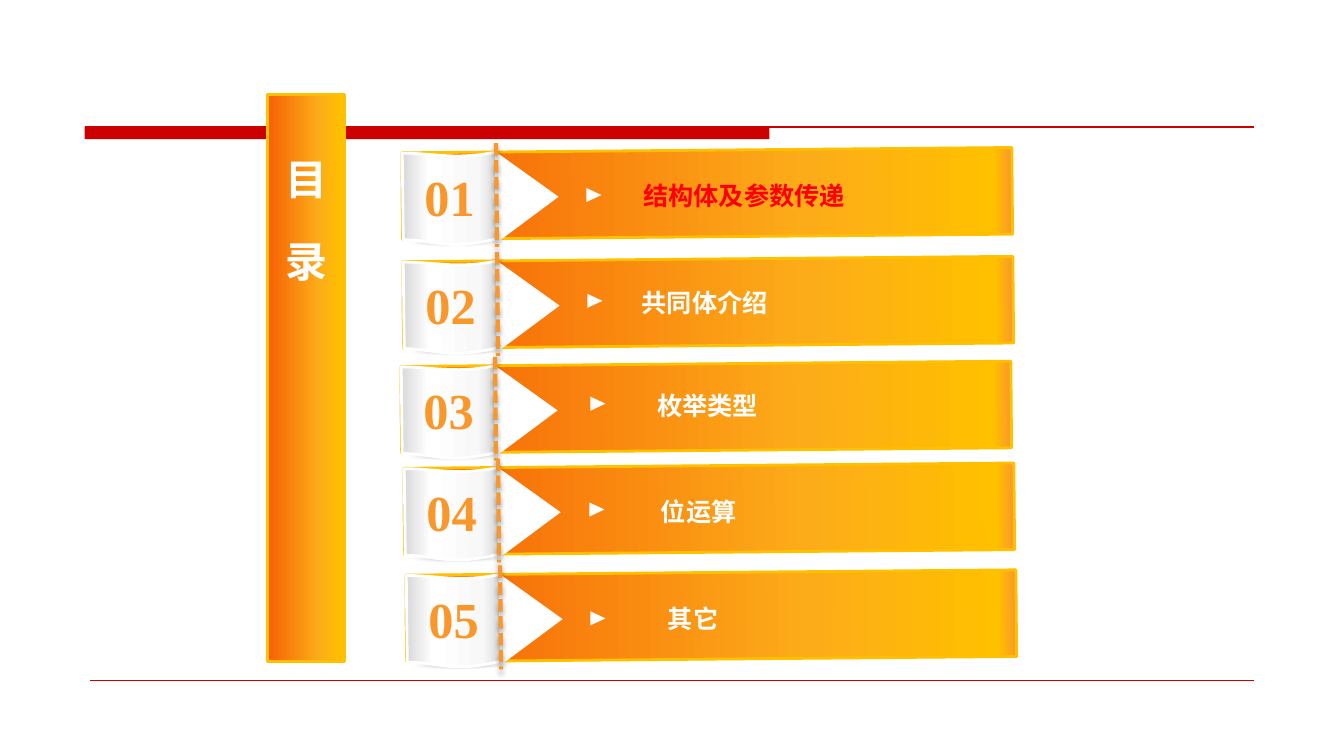
from pptx import Presentation
from pptx.dml.color import RGBColor
from pptx.enum.dml import MSO_LINE
from pptx.enum.shapes import MSO_CONNECTOR, MSO_SHAPE as SHP
from pptx.enum.text import MSO_ANCHOR, MSO_AUTO_SIZE, PP_ALIGN
from pptx.oxml import parse_xml
from pptx.oxml.ns import nsdecls, qn
from pptx.util import Inches, Pt

RED = RGBColor(0xCC, 0x00, 0x00)
BRIGHT_RED = RGBColor(0xFF, 0x00, 0x00)
ORANGE = RGBColor(0xF9, 0x97, 0x2B)
GOLD = RGBColor(0xFF, 0xC0, 0x00)
BROWN = RGBColor(0x90, 0x4E, 0x1C)
WHITE = RGBColor(0xFF, 0xFF, 0xFF)

# Gradients: (position, colour, opacity) stops and the direction
LINEAR = '<a:lin ang="0" scaled="0"/>'
RADIAL = '<a:path path="circle"><a:fillToRect l="50000" t="50000" r="50000" b="50000"/></a:path>'
ORANGE_GRAD = ([(0, "F66004", 100), (66, "FCAC19", 100), (97, "FFC000", 100), (100, "F9972B", 100)], LINEAR)
PAPER_GRAD = ([(0, "D9D9D9", 100), (28, "FFFFFF", 100), (81, "F8F8F8", 100), (100, "D7D7D7", 100)], LINEAR)
SHADE_GRAD = ([(0, "595959", 100), (100, "EEECE1", 0)], RADIAL)


def style(sp, fill, line=None, width=2, alpha=None, soft=None):
    """Set fill, outline, opacity (percent) and soft edge (points)."""
    sp.shadow.inherit = False
    if isinstance(fill, RGBColor):
        sp.fill.solid()
        sp.fill.fore_color.rgb = fill
        if alpha:
            clr = sp._element.spPr.find(".//" + qn("a:srgbClr"))
            clr.append(parse_xml(f'<a:alpha {nsdecls("a")} val="{alpha * 1000}"/>'))
    else:
        stops, direction = fill
        gs = "".join(f'<a:gs pos="{pos * 1000}"><a:srgbClr val="{c}"><a:alpha val="{a * 1000}"/>'
                     f'</a:srgbClr></a:gs>' for pos, c, a in stops)
        sp.fill.gradient()
        old = sp._element.spPr.find(qn("a:gradFill"))
        old.getparent().replace(old, parse_xml(
            f'<a:gradFill {nsdecls("a")} rotWithShape="1"><a:gsLst>{gs}</a:gsLst>{direction}</a:gradFill>'))
    if line is None:
        sp.line.fill.background()
    else:
        sp.line.color.rgb = line
        sp.line.width = Pt(width)
    if soft:
        sp._element.spPr.find(qn("a:effectLst")).append(
            parse_xml(f'<a:softEdge {nsdecls("a")} rad="{Pt(soft)}"/>'))


def write(p, text, size, color, align=PP_ALIGN.CENTER, spacing=0.8):
    """Add a bold run to a paragraph."""
    p.alignment = align
    p.line_spacing = spacing
    r = p.add_run()
    r.text = text
    r.font.name = "Times New Roman"
    r.font.size = Pt(size)
    r.font.bold = True
    r.font.color.rgb = color
    return r


prs = Presentation()
prs.slide_width, prs.slide_height = Inches(13.33), Inches(7.5)
slide = prs.slides.add_slide(prs.slide_layouts[5])
shapes = slide.shapes

# Red header bar and thin rules
sp = shapes.add_shape(SHP.RECTANGLE, Inches(0.84), Inches(1.26), Inches(6.79), Inches(0.12))
style(sp, RED)
for left, y, width in [(0.84, 1.26, 0.75), (0.89, 6.75, 0.25)]:
    rule = shapes.add_connector(MSO_CONNECTOR.STRAIGHT, Inches(left), Inches(y), Inches(12.44), Inches(y))
    rule.line.color.rgb = RED
    rule.line.width = Pt(width)
    rule._element.spPr.append(parse_xml(f'<a:effectLst {nsdecls("a")}/>'))

# Vertical sidebar with the title
sp = shapes.add_shape(SHP.RECTANGLE, Inches(2.65), Inches(0.94), Inches(0.77), Inches(5.62))
style(sp, ORANGE_GRAD, GOLD)
title = shapes.title
title.left, title.top, title.width, title.height = Inches(2.67), Inches(1.52), Inches(0.71), Inches(1.35)
tf = title.text_frame
tf.word_wrap = False
tf.auto_size = MSO_AUTO_SIZE.NONE
tf.vertical_anchor = MSO_ANCHOR.TOP
tf._txBody.bodyPr.set("vert", "eaVert")
first = write(tf.paragraphs[0], "目", 30, WHITE, PP_ALIGN.LEFT, 1.0)
first._r.get_or_add_rPr().set("spc", "2850")
write(tf.paragraphs[0], "录", 30, WHITE, PP_ALIGN.LEFT, 1.0)
shapes._spTree.append(title._element)

# Ribbon parts relative to the bar's corner, back to front.
# A tuple is a preset (kind, left, top, width, height, rotation);
# a list is an outline whose steps hold one point (line) or three (curve).
PARTS = [
    ([[(0.16, 0.04)], [(4.46, -0.01)], [(4.49, 0.86)], [(0.16, 0.8)]], BROWN, dict(alpha=43, soft=5)),
    ((SHP.OVAL, -0.5, 0.4, 1.04, 0.1, 89.5), SHADE_GRAD, dict(soft=2)),
    ((SHP.OVAL, -0.11, 0.87, 1.3, 0.09, 359.5), SHADE_GRAD, dict(soft=2)),
    ((SHP.RECTANGLE, 0, 0, 6.05, 0.86, 359.5), ORANGE_GRAD, dict(line=GOLD)),
    ([[(0, 0.03)], [(0.31, 0.03), (0.52, 0.1), (0.93, 0.02)], [(0.94, 0.88)],
      [(0.44, 1.0), (0.32, 0.89), (0.01, 0.89)]], PAPER_GRAD, dict(line=WHITE)),
    ([[(0.94, 0.03)], [(1.29, 0.17), (1.2, 0.16), (1.73, 0.45)],
      [(1.18, 0.75), (1.27, 0.8), (0.95, 0.89)]], BROWN, dict(soft=10)),
    ((SHP.ISOSCELES_TRIANGLE, 0.8, 0.16, 0.89, 0.61, 89.5), WHITE, {}),
]
STEPS = 12

# Bar corner, arrow corner, label box (left, top, width), label, colour
ROWS = [
    ((3.99, 1.49), (5.82, 1.86), (5.89, 1.8, 2.98), "结构体及参数传递", BRIGHT_RED),
    ((4.0, 2.57), (5.83, 2.91), (5.89, 2.86, 2.2), "共同体介绍", WHITE),
    ((3.98, 3.61), (5.86, 3.93), (5.92, 3.88, 2.2), "枚举类型", WHITE),
    ((4.01, 4.62), (5.85, 4.98), (5.83, 4.93, 2.2), "位运算", WHITE),
    ((4.03, 5.68), (5.86, 6.06), (5.97, 5.99, 1.81), "其它", WHITE),
]

for n, ((x, y), (ax, ay), (lx, ly, lw), label, color) in enumerate(ROWS, 1):
    # Ribbon
    for geom, fill, look in PARTS:
        if isinstance(geom, tuple):
            kind, left, top, w, h, rot = geom
            sp = shapes.add_shape(kind, Inches(x + left), Inches(y + top), Inches(w), Inches(h))
            sp.rotation = rot
        else:
            pts = []
            for step in geom:
                if len(step) == 1:
                    pts += step
                    continue
                ctrl = [pts[-1]] + step
                for t in (i / STEPS for i in range(1, STEPS + 1)):
                    weights = ((1 - t) ** 3, 3 * t * (1 - t) ** 2, 3 * t * t * (1 - t), t ** 3)
                    pts.append(tuple(sum(k * c[d] for k, c in zip(weights, ctrl)) for d in (0, 1)))
            pts = [(Inches(x + px), Inches(y + py)) for px, py in pts]
            fb = shapes.build_freeform(*pts[0], scale=1.0)
            fb.add_line_segments(pts[1:], close=True)
            sp = fb.convert_to_shape()
        style(sp, fill, **look)

    # Dashed stitch line with a soft shadow
    stitch = shapes.add_connector(MSO_CONNECTOR.STRAIGHT, Inches(x + 0.93), Inches(y - 0.07),
                                  Inches(x + 0.94), Inches(y + 0.96))
    stitch.line.color.rgb = ORANGE
    stitch.line.width = Pt(3)
    stitch.line.dash_style = MSO_LINE.SQUARE_DOT
    stitch._element.spPr.append(parse_xml(
        f'<a:effectLst {nsdecls("a")}><a:outerShdw blurRad="{Pt(4)}" dist="{Pt(3)}" dir="5400000">'
        '<a:srgbClr val="000000"><a:alpha val="40000"/></a:srgbClr></a:outerShdw></a:effectLst>'))

    # Arrow, number and label
    sp = shapes.add_shape(SHP.ISOSCELES_TRIANGLE, Inches(ax), Inches(ay), Inches(0.14), Inches(0.15))
    sp.rotation = 90
    style(sp, WHITE)
    for text, left, top, w, h, size, c in [(f"{n:02d}", x + 0.07, y + 0.22, 0.8, 0.58, 36, ORANGE),
                                           (label, lx, ly, lw, 0.34, 18, color)]:
        tf = shapes.add_textbox(Inches(left), Inches(top), Inches(w), Inches(h)).text_frame
        tf.word_wrap = True
        write(tf.paragraphs[0], text, size, c)

prs.save("out.pptx")
